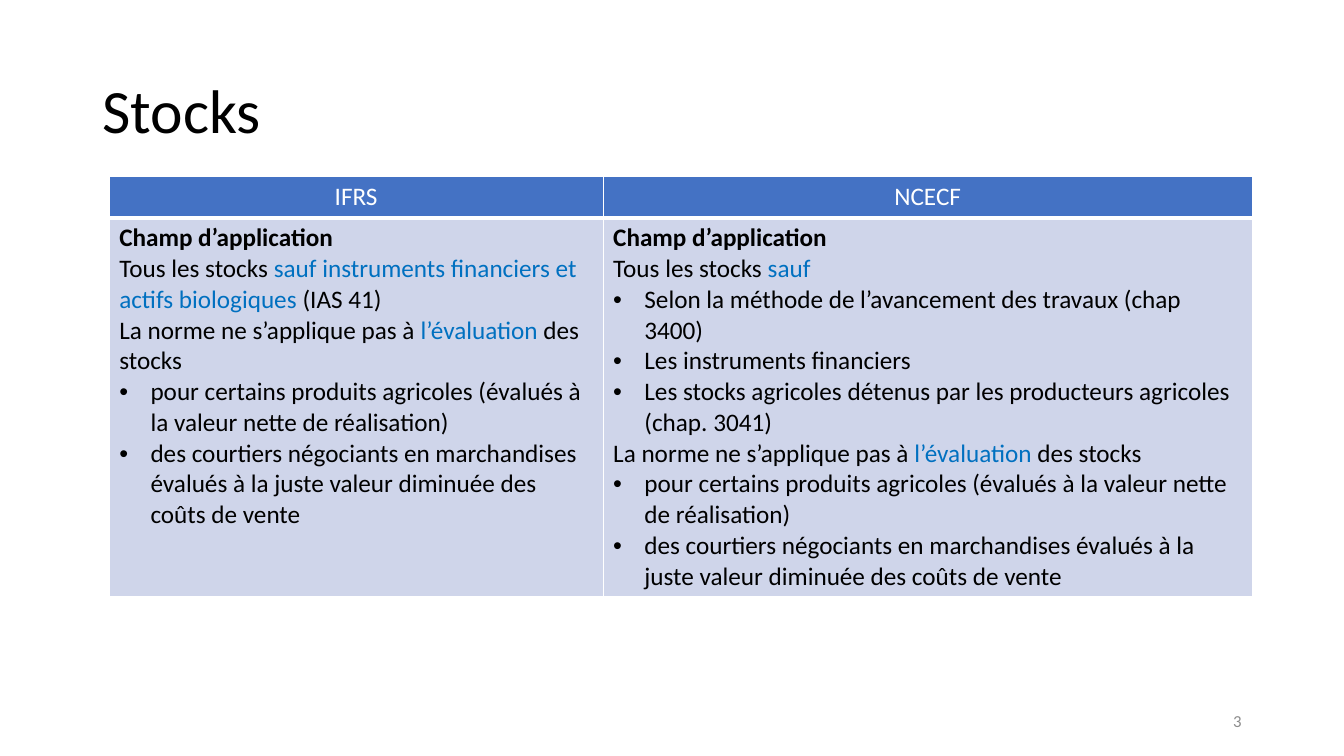
from dataclasses import dataclass
from typing import Optional

from lxml.etree import SubElement
from pptx import Presentation
from pptx.dml.color import RGBColor
from pptx.enum.text import MSO_ANCHOR as Anchor, PP_ALIGN as Align
from pptx.oxml.ns import qn
from pptx.util import Inches, Length, Pt

GRID_COLUMNS, GRID_ROWS = 160, 90
CELL = Inches(1) / 12


def grid(count: float) -> Length:
    """Convert a number of grid columns or rows to a length."""
    return Length(round(count * CELL))


@dataclass(frozen=True)
class Theme:
    font: str = "Calibri"
    black: str = "000000"
    white: str = "FFFFFF"
    header_fill: str = "4472C4"
    body_fill: str = "CFD5EA"
    accent: str = "0070C0"
    muted: str = "8C8C8C"
    title_size: int = 44
    table_size: int = 18
    number_size: int = 12


THEME = Theme()


@dataclass(frozen=True)
class Span:
    text: str
    color: str = THEME.black
    bold: bool = False


@dataclass(frozen=True)
class Line:
    spans: tuple[Span, ...]
    bullet: bool = False


@dataclass(frozen=True)
class Standard:
    name: str
    width: float
    lines: tuple[Line, ...]


def plain(text: str) -> Line:
    return Line((Span(text),))


def bullet(text: str) -> Line:
    return Line((Span(text),), bullet=True)


def accented(before: str, accent: str, after: Optional[str] = None) -> Line:
    spans = (Span(before), Span(accent, THEME.accent))
    return Line(spans + ((Span(after),) if after else ()))


HEADING = Line((Span("Champ d’application", bold=True),))
EXCLUSIONS = (
    accented("La norme ne s’applique pas à ", "l’évaluation", " des stocks"),
    bullet("pour certains produits agricoles (évalués à la valeur nette de réalisation)"),
    bullet("des courtiers négociants en marchandises évalués à la juste valeur "
           "diminuée des coûts de vente"),
)
STANDARDS = (
    Standard("IFRS", 58.8, (
        HEADING,
        accented("Tous les stocks ", "sauf instruments financiers et actifs biologiques",
                 " (IAS 41)"),
        *EXCLUSIONS,
    )),
    Standard("NCECF", 77.28, (
        HEADING,
        accented("Tous les stocks ", "sauf"),
        bullet("Selon la méthode de l’avancement des travaux (chap 3400)"),
        bullet("Les instruments financiers"),
        bullet("Les stocks agricoles détenus par les producteurs agricoles (chap. 3041)"),
        *EXCLUSIONS,
    )),
)
ROW_HEIGHTS = (4.92, 44.4)


def style_font(font, size: int, color: str, bold: bool = False) -> None:
    font.name = THEME.font
    font.size = Pt(size)
    font.bold = bold
    font.color.rgb = RGBColor.from_string(color)


def write_label(frame, text: str, size: int, color: str, align: Align) -> None:
    """Fill a frame with one uniformly formatted paragraph."""
    frame.text = text
    para = frame.paragraphs[0]
    para.alignment = align
    style_font(para.runs[0].font, size, color)


def write_lines(frame, lines: tuple[Line, ...]) -> None:
    for index, line in enumerate(lines):
        para = frame.add_paragraph() if index else frame.paragraphs[0]
        para.alignment = Align.LEFT
        if line.bullet:
            add_bullet(para)
        for span in line.spans:
            run = para.add_run()
            run.text = span.text
            style_font(run.font, THEME.table_size, span.color, span.bold)


def add_bullet(para) -> None:
    properties = para._p.get_or_add_pPr()
    indent = Inches(0.31)
    properties.set("marL", str(indent))
    properties.set("indent", str(-indent))
    SubElement(properties, qn("a:buFont")).set("typeface", "Arial")
    SubElement(properties, qn("a:buChar")).set("char", "•")


def paint_cell(cell, fill: str, bottom_width: int) -> None:
    """Give a cell white borders and a solid fill."""
    properties = cell._tc.get_or_add_tcPr()
    for side, width in (("L", 1), ("R", 1), ("T", 1), ("B", bottom_width)):
        border = SubElement(properties, qn(f"a:ln{side}"), w=str(Pt(width)))
        solid = SubElement(border, qn("a:solidFill"))
        SubElement(solid, qn("a:srgbClr")).set("val", THEME.white)
    cell.fill.solid()
    cell.fill.fore_color.rgb = RGBColor.from_string(fill)


def add_title(page) -> None:
    title = page.shapes.title
    title.left, title.top, title.width, title.height = map(grid, (11, 4.8, 138, 17.4))
    frame = title.text_frame
    frame.vertical_anchor = Anchor.MIDDLE
    write_label(frame, "Stocks", THEME.title_size, THEME.black, Align.LEFT)
    frame.paragraphs[0].line_spacing = 0.9


def add_comparison(page) -> None:
    width = sum(standard.width for standard in STANDARDS)
    table = page.shapes.add_table(
        len(ROW_HEIGHTS), len(STANDARDS),
        grid(13), grid(21), grid(width), grid(sum(ROW_HEIGHTS))).table
    table.horz_banding = False
    for row, height in zip(table.rows, ROW_HEIGHTS):
        row.height = grid(height)
    for index, standard in enumerate(STANDARDS):
        table.columns[index].width = grid(standard.width)
        header, body = table.cell(0, index), table.cell(1, index)
        paint_cell(header, THEME.header_fill, bottom_width=3)
        paint_cell(body, THEME.body_fill, bottom_width=1)
        write_label(header.text_frame, standard.name, THEME.table_size,
                    THEME.white, Align.CENTER)
        write_lines(body.text_frame, standard.lines)


def add_page_number(page) -> None:
    box = page.shapes.add_textbox(*map(grid, (113, 83.4, 36, 4.8)))
    frame = box.text_frame
    frame.word_wrap = True
    frame.vertical_anchor = Anchor.MIDDLE
    write_label(frame, "3", THEME.number_size, THEME.muted, Align.RIGHT)


def main() -> None:
    deck = Presentation()
    deck.slide_width, deck.slide_height = grid(GRID_COLUMNS), grid(GRID_ROWS)
    page = deck.slides.add_slide(deck.slide_layouts.get_by_name("Title Only"))
    add_title(page)
    add_comparison(page)
    add_page_number(page)
    deck.save("out.pptx")


if __name__ == "__main__":
    main()
